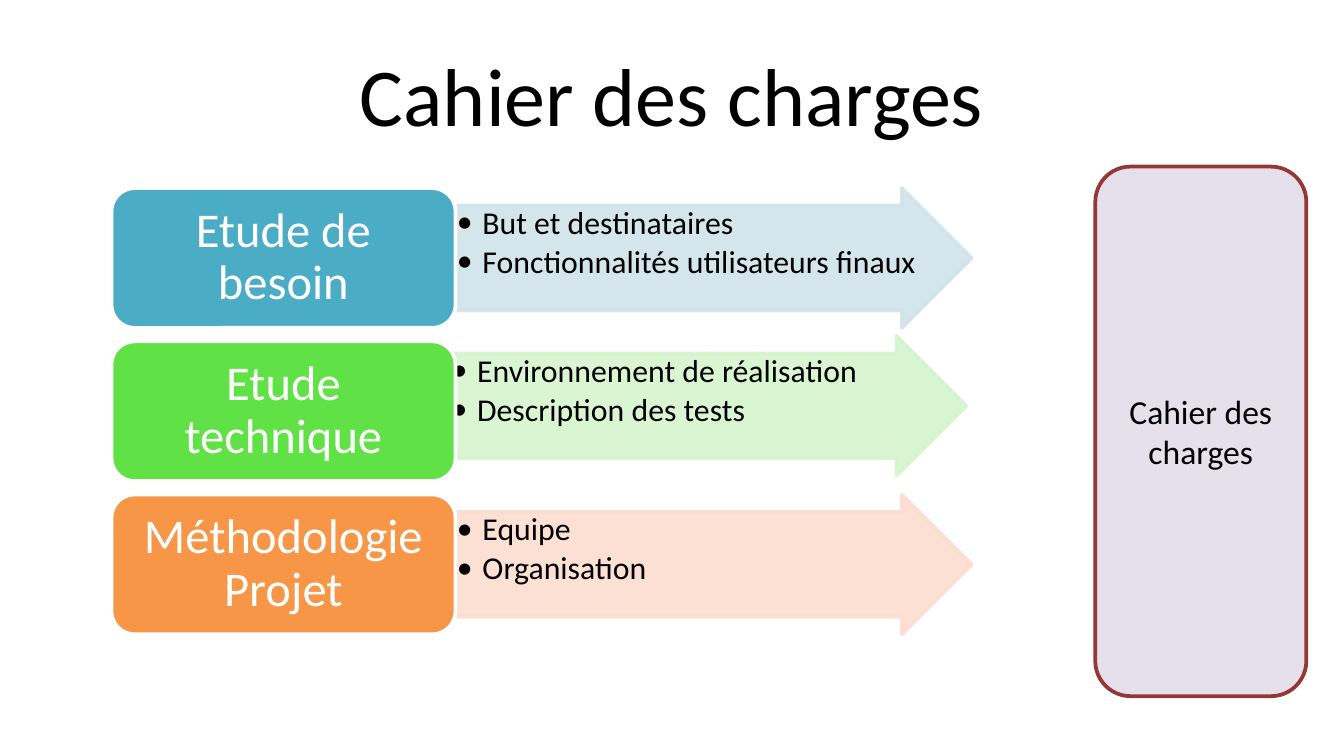
from lxml import etree
from pptx import Presentation
from pptx.dml.color import RGBColor
from pptx.enum import shapes, text
from pptx.oxml import ns
from pptx.util import Inches, Pt

COLORS = {
    "black": "000000", "white": "FFFFFF",
    "blue": "4BACC6", "pale blue": "D0E3EA",
    "green": "60E146", "pale green": "D6F4CE",
    "orange": "F79646", "pale orange": "FCDDCF",
    "lilac": "E6E0EC", "dark red": "953735",
}
STEPS = [
    ("Etude de besoin", "blue", 3.39, 1.4,
     ["But et destinataires", "Fonctionnalités utilisateurs finaux"]),
    ("Etude technique", "green", 3.35, 2.5,
     ["Environnement de réalisation", "Description des tests"]),
    ("Méthodologie Projet", "orange", 3.39, 3.68,
     ["Equipe", "Organisation"]),
]
BOX_TOP, BOX_STEP, ROW_HEIGHT = 1.4, 1.14, 1.04


def add_block(kind, left, top, width, height, fill, line):
    block = page.shapes.add_shape(
        kind, Inches(left), Inches(top), Inches(width), Inches(height))
    block.shadow.inherit = False
    block.fill.solid()
    block.fill.fore_color.rgb = RGBColor.from_string(COLORS[fill])
    block.line.color.rgb = RGBColor.from_string(COLORS[line])
    block.line.width = Pt(2)
    block.text_frame.word_wrap = True
    return block


def write(para, words, size, color, align):
    para.text = words
    para.alignment = align
    para.font.name = "Calibri"
    para.font.size = Pt(size)
    para.font.color.rgb = RGBColor.from_string(COLORS[color])


deck = Presentation()
deck.slide_width = Inches(10)
deck.slide_height = Inches(10 * 9 / 16)
page = deck.slides.add_slide(deck.slide_layouts[6])
center, left_align = text.PP_ALIGN.CENTER, text.PP_ALIGN.LEFT

title = page.shapes.add_textbox(Inches(0.5), Inches(0.23), Inches(9), Inches(0.94))
title.text_frame.word_wrap = True
title.text_frame.vertical_anchor = text.MSO_ANCHOR.MIDDLE
write(title.text_frame.paragraphs[0], "Cahier des charges", 44, "black", center)

for row, (name, color, arrow_left, arrow_top, details) in enumerate(STEPS):
    pale = "pale " + color
    arrow = add_block(shapes.MSO_SHAPE.RIGHT_ARROW, arrow_left, arrow_top,
                      3.84, ROW_HEIGHT, pale, pale)
    arrow.adjustments[0] = 0.75
    for paint in arrow._element.spPr.iter(ns.qn("a:srgbClr")):
        etree.SubElement(paint, ns.qn("a:alpha"), val="90000")
    frame = arrow.text_frame
    frame.vertical_anchor = text.MSO_ANCHOR.TOP
    frame.margin_left = frame.margin_right = Inches(0.01)
    frame.margin_top = frame.margin_bottom = Inches(0.01)
    for index, detail in enumerate(details):
        para = frame.add_paragraph() if index else frame.paragraphs[0]
        write(para, detail, 17, "black", left_align)
        para.level = 1
        para.line_spacing = 0.9
        para.space_after = Pt(2.5)
        props = para._p.get_or_add_pPr()
        props.set("marL", str(Inches(0.19)))
        props.set("indent", str(-Inches(0.19)))
        font_props = props.find(ns.qn("a:defRPr"))
        font_props.addprevious(etree.Element(ns.qn("a:buFont"), typeface="Calibri"))
        font_props.addprevious(etree.Element(ns.qn("a:buChar"), char="•"))

    box = add_block(shapes.MSO_SHAPE.ROUNDED_RECTANGLE, 0.83,
                    BOX_TOP + row * BOX_STEP, 2.56, ROW_HEIGHT, color, "white")
    frame = box.text_frame
    frame.vertical_anchor = text.MSO_ANCHOR.MIDDLE
    frame.margin_left = frame.margin_right = Inches(0.11)
    para = frame.paragraphs[0]
    write(para, name, 26, "white", center)
    para.line_spacing = 0.9

result = add_block(shapes.MSO_SHAPE.ROUNDED_RECTANGLE, 8.15, 1.24, 1.57, 3.94,
                   "lilac", "dark red")
result.text_frame.vertical_anchor = text.MSO_ANCHOR.MIDDLE
write(result.text_frame.paragraphs[0], "Cahier des charges", 18, "black", center)

deck.save("out.pptx")
